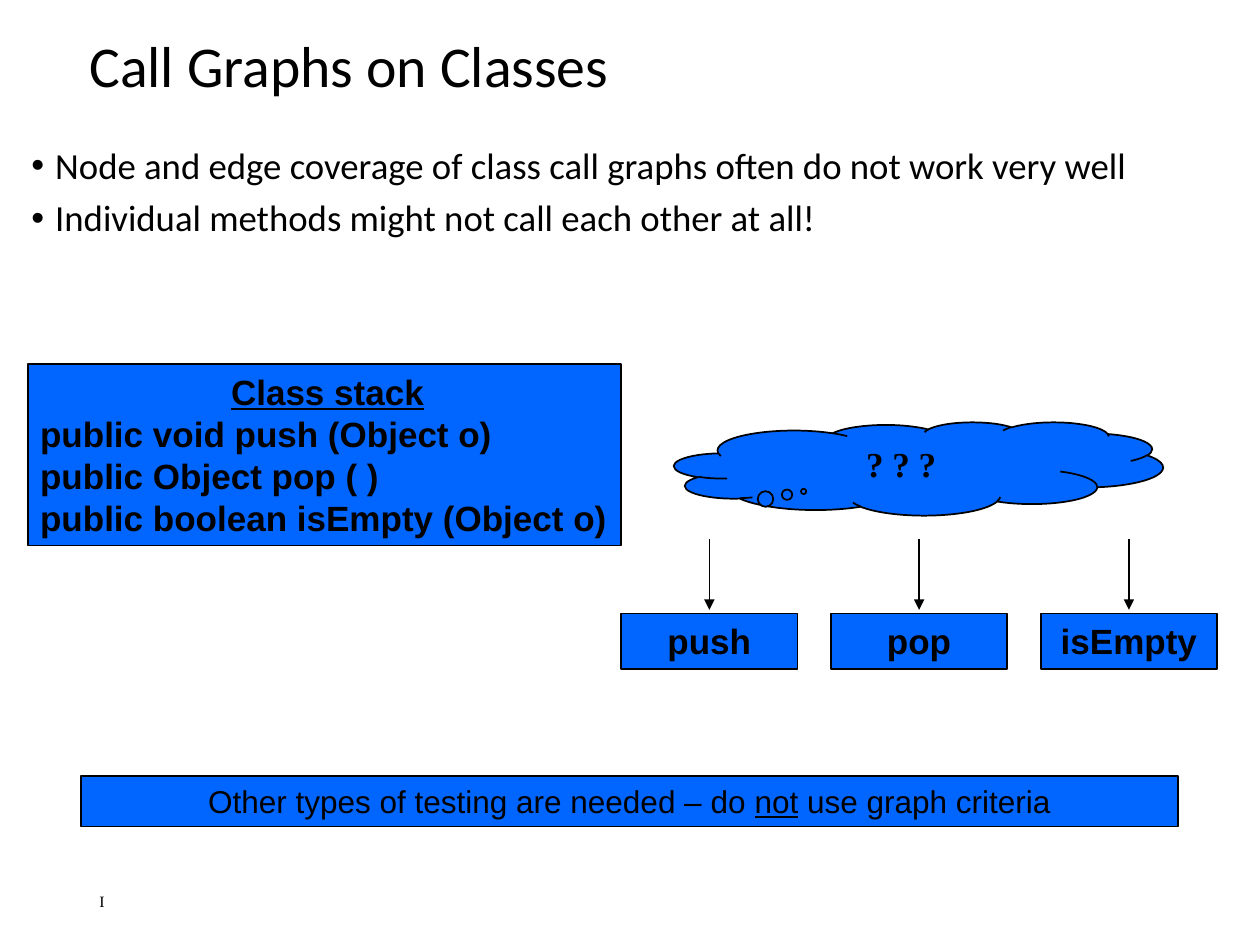
"""Build the slide on call graphs for classes."""
from lxml.etree import SubElement
from pptx import Presentation
from pptx.dml.color import RGBColor
from pptx.enum.shapes import MSO_CONNECTOR, MSO_SHAPE
from pptx.enum.text import MSO_ANCHOR, PP_ALIGN
from pptx.oxml.ns import qn
from pptx.util import Inches, Pt

BLACK = RGBColor(0x00, 0x00, 0x00)
BLUE = RGBColor(0x00, 0x66, 0xFF)


def add_run(p, text, size, font, bold=False, underline=False):
    r = p.add_run()
    r.text = text
    r.font.size = Pt(size)
    r.font.name = font
    r.font.bold = bold
    r.font.underline = underline
    r.font.color.rgb = BLACK


def add_block(kind, x, y, w, h):
    sp = s.shapes.add_shape(kind, Inches(x), Inches(y), Inches(w), Inches(h))
    sp.shadow.inherit = False
    sp.fill.solid()
    sp.fill.fore_color.rgb = BLUE
    sp.line.color.rgb = BLACK
    sp.line.width = Pt(1)
    tf = sp.text_frame
    tf.word_wrap = True
    tf.vertical_anchor = MSO_ANCHOR.TOP
    tf.paragraphs[0].alignment = PP_ALIGN.CENTER
    return sp


prs = Presentation()
prs.slide_width = Inches(10)
prs.slide_height = Inches(7.5)
s = prs.slides.add_slide(prs.slide_layouts[6])

title = s.shapes.add_textbox(Inches(0.61), Inches(-0.18), Inches(8.62), Inches(1.45))
tf = title.text_frame
tf.word_wrap = True
tf.vertical_anchor = MSO_ANCHOR.MIDDLE
p = tf.paragraphs[0]
p.line_spacing = 0.9
add_run(p, "Call Graphs on Classes", 33, "Calibri")

body = s.shapes.add_textbox(Inches(0.15), Inches(1.12), Inches(9.7), Inches(1.7))
tf = body.text_frame
tf.word_wrap = True
bullets = [
    "Node and edge coverage of class call graphs often do not work very well",
    "Individual methods might not call each other at all!",
]
for i, text in enumerate(bullets):
    p = tf.add_paragraph() if i else tf.paragraphs[0]
    p.line_spacing = 0.9
    p.space_before = Pt(7.5)
    pPr = p._p.get_or_add_pPr()
    pPr.set("marL", str(Inches(0.19)))
    pPr.set("indent", str(-Inches(0.19)))
    SubElement(pPr, qn("a:buFont"), typeface="Arial")
    SubElement(pPr, qn("a:buChar"), char="•")
    add_run(p, text, 21, "Calibri")

footer = s.shapes.add_textbox(Inches(0.69), Inches(6.95), Inches(2.25), Inches(0.4))
tf = footer.text_frame
tf.word_wrap = True
tf.vertical_anchor = MSO_ANCHOR.MIDDLE
add_run(tf.paragraphs[0], "I", 9, "Times New Roman")

tf = add_block(MSO_SHAPE.RECTANGLE, 0.22, 2.89, 4.71, 1.44).text_frame
tf.margin_right = Inches(0.05)
add_run(tf.paragraphs[0], "Class stack", 20, "Arial", bold=True, underline=True)
for text in [
    "public void push (Object o)",
    "public Object pop ( )",
    "public boolean isEmpty (Object o)",
]:
    p = tf.add_paragraph()
    p.alignment = PP_ALIGN.LEFT
    add_run(p, text, 20, "Arial", bold=True)

tf = add_block(MSO_SHAPE.RECTANGLE, 0.64, 6.16, 8.71, 0.4).text_frame
p = tf.paragraphs[0]
add_run(p, "Other types of testing are needed – do ", 18, "Arial")
add_run(p, "not", 18, "Arial", underline=True)
add_run(p, " use graph criteria", 18, "Arial")

for i, method in enumerate(["push", "pop", "isEmpty"]):
    x = 4.93 + i * 1.665
    tf = add_block(MSO_SHAPE.RECTANGLE, x, 4.87, 1.4, 0.44).text_frame
    tf.margin_left = tf.margin_right = Inches(0.05)
    add_run(tf.paragraphs[0], method, 20, "Arial", bold=True)

    mid = Inches(x + 0.7)
    arrow = s.shapes.add_connector(
        MSO_CONNECTOR.STRAIGHT, mid, Inches(4.28), mid, Inches(4.84)
    )
    arrow.line.color.rgb = BLACK
    arrow.line.width = Pt(1)
    SubElement(arrow.line._get_or_add_ln(), qn("a:tailEnd"), type="triangle")
    SubElement(arrow._element.spPr, qn("a:effectLst"))

cloud = add_block(MSO_SHAPE.CLOUD_CALLOUT, 5.35, 3.35, 3.88, 0.74)
cloud.adjustments[0] = -0.235
cloud.adjustments[1] = 0.244
add_run(cloud.text_frame.paragraphs[0], "? ? ?", 20, "Times New Roman", bold=True)

prs.save("out.pptx")
